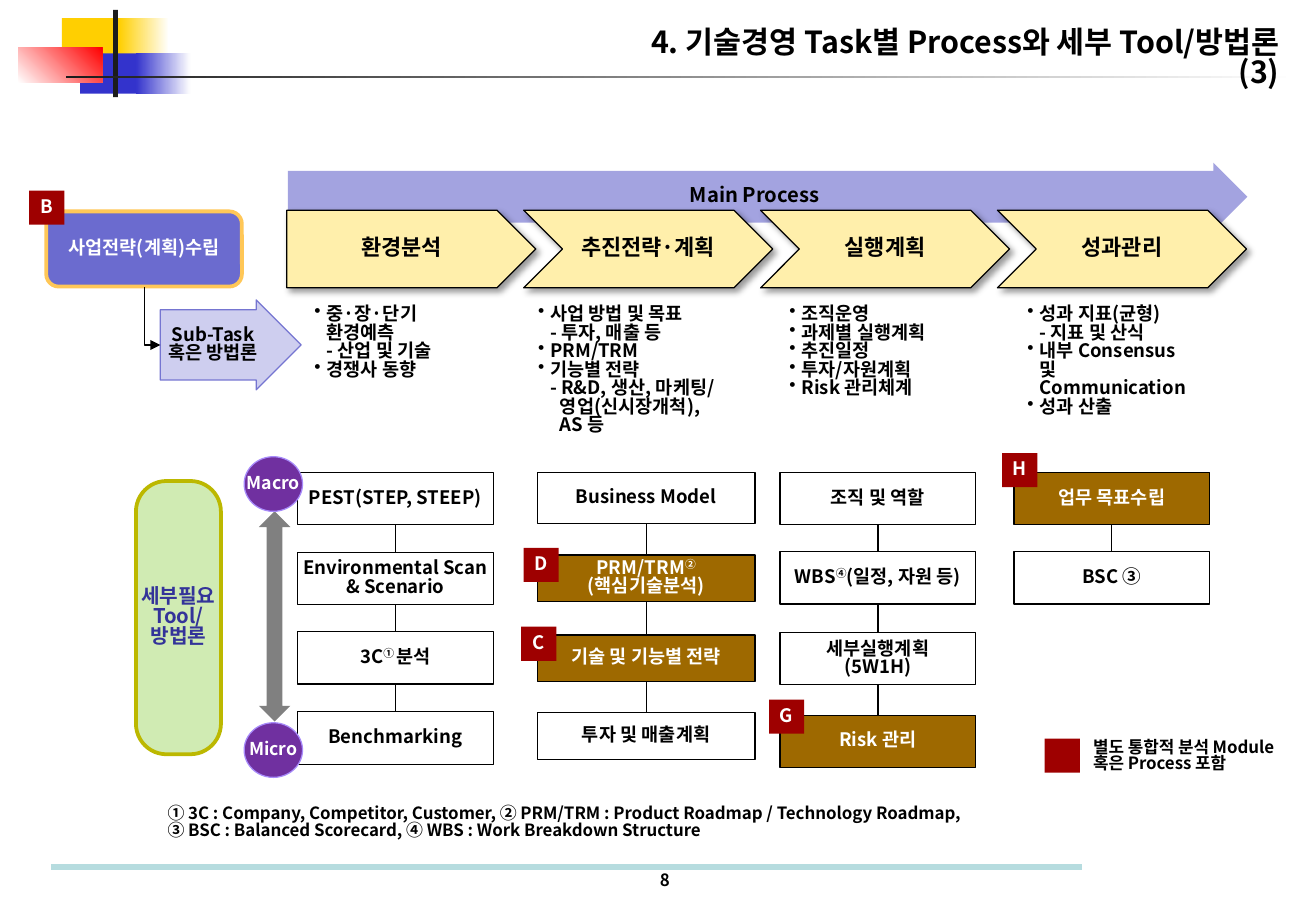
"""Builds the slide on technology management processes and their tools."""
import pptx
import pptx.util
import pptx.dml.color
import pptx.enum.shapes
import pptx.enum.text
from lxml import etree
from pptx.oxml.ns import qn

Pt = pptx.util.Pt
MSO = pptx.enum.shapes.MSO_SHAPE
LINK = pptx.enum.shapes.MSO_CONNECTOR
ALIGN = pptx.enum.text.PP_ALIGN
ANCHOR = pptx.enum.text.MSO_ANCHOR
FONT = "Noto Sans CJK KR"
HUES = {
    "black": "000000", "white": "FFFFFF", "ink": "1C1C1C", "gold": "FFCF01",
    "blue": "3333CC", "red": "FF0000", "teal": "B6DCDF", "lilac": "A3A3E0",
    "cream": "FFEFAB", "indigo": "6B6BCF", "amber": "FFC757", "pale": "CECEEF",
    "violet": "7575D1", "gray": "808080", "purple": "7030A0", "mauve": "A78AFA",
    "mint": "D0EBB3", "olive": "BCB800", "navy": "333399", "brown": "9E6900",
    "wine": "9E0000",
}

TITLE = "4. 기술경영 Task별 Process와 세부 Tool/방법론\v(3)"
NOTES = [
    "① 3C : Company, Competitor, Customer, ② PRM/TRM : Product Roadmap / Technology Roadmap,",
    "③ BSC : Balanced Scorecard, ④ WBS : Work Breakdown Structure",
]
LEGEND = "별도 통합적 분석 Module\v혹은 Process 포함"
DECOR = [
    (36.7, 10.8, 38.9, 23.8, "gold", None, 0),
    (70.6, 10.8, 29.5, 23.8, "gold", "white", 0),
    (47.5, 31.7, 37.4, 23.8, "blue", None, 0),
    (80.6, 31.7, 32.4, 23.8, "blue", "white", 0),
    (10.8, 28.1, 49.7, 20.9, "white", "red", 45),
    (67, 5.8, 2.9, 51.8, "ink", None, 0),
    (38.9, 44.9, 730, 1.2, "ink", "white", 0),
]
STEPS = ["환경분석", "추진전략·계획", "실행계획", "성과관리"]
LISTS = [
    (179.3, ["•중·장·단기\v환경예측\v- 산업 및 기술", "•경쟁사 동향"]),
    (311.8, ["•사업 방법 및 목표\v- 투자, 매출 등", "•PRM/TRM",
             "•기능별 전략\v- R&D, 생산, 마케팅/", ">영업(신시장개척),", ">AS 등"]),
    (460.8, ["•조직운영", "•과제별 실행계획", "•추진일정", "•투자/자원계획",
             "•Risk 관리체계"]),
    (601.9, ["•성과 지표(균형)\v- 지표 및 산식",
             "•내부 Consensus\v및\vCommunication", "•성과 산출"]),
]
TOOLS = [
    (176.4, 116, [
        (280, 31, "white", ["PEST(STEP, STEEP)"]),
        (327.5, 31, "white", ["Environmental Scan", "& Scenario"]),
        (374.5, 31, "white", ["3C^① ^분석"]),
        (422, 31, "white", ["Benchmarking"])]),
    (318.5, 129, [
        (280, 30.5, "white", ["Business Model"]),
        (329, 27.5, "brown", ["PRM/TRM^②", "(핵심기술분석)"]),
        (376.5, 27.5, "brown", ["기술 및 기능별 전략"]),
        (422.6, 27.5, "white", ["투자 및 매출계획"])]),
    (462.4, 116, [
        (280, 31, "white", ["조직 및 역할"]),
        (327, 31, "white", ["WBS^④^(일정, 자원 등)"]),
        (375, 31, "white", ["세부실행계획", "(5W1H)"]),
        (424, 31, "brown", ["Risk 관리"])]),
    (601, 116, [
        (280, 31, "brown", ["업무 목표수립"]),
        (327, 31, "white", ["BSC ③"])]),
]
BADGES = [
    (17.3, 113, "B"), (310.3, 324.7, "D"), (308.9, 371.5, "C"),
    (594, 268.6, "H"), (455.8, 414.7, "G"), (619.2, 437.8, ""),
]

deck = pptx.Presentation()
deck.slide_width, deck.slide_height = Pt(780), Pt(540)
slide = deck.slides.add_slide(deck.slide_layouts[6])


def rgb(hue):
    return pptx.dml.color.RGBColor.from_string(HUES[hue])


def write(frame, lines, size, hue, align):
    for i, line in enumerate(lines):
        para = frame.paragraphs[0] if i == 0 else frame.add_paragraph()
        props = para._p.get_or_add_pPr()
        if line[0] in "•>":
            dot = line[0] == "•"
            props.set("marL", str(Pt(7.2 if dot else 13)))
            props.set("indent", str(Pt(-7.2 if dot else 0)))
            if dot:
                etree.SubElement(props, qn("a:buChar"), char="•")
            line = line[1:]
        parts = line.split("^")
        para.text = parts[0]
        for k, part in enumerate(parts[1:]):
            run = para.add_run()
            run.text = part
            if k % 2 == 0:
                run._r.get_or_add_rPr().set("baseline", "30000")
        para.alignment = align
        para.line_spacing = 0.83
        font = para.font
        font.size, font.bold, font.name = Pt(size), True, FONT
        font.color.rgb = rgb(hue)
        etree.SubElement(font._rPr, qn("a:ea"), typeface=FONT)


def shape(kind, x, y, w, h, fill, line=None, lines=(), size=11, hue="black", thick=0.75):
    item = slide.shapes.add_shape(kind, Pt(x), Pt(y), Pt(w), Pt(h))
    item.shadow.inherit = False
    item.fill.solid()
    item.fill.fore_color.rgb = rgb(fill)
    if line:
        item.line.color.rgb = rgb(line)
        item.line.width = Pt(thick)
    else:
        item.line.fill.background()
    item.text_frame.word_wrap = False
    item.text_frame.vertical_anchor = ANCHOR.MIDDLE
    write(item.text_frame, lines, size, hue, ALIGN.CENTER)
    return item


def label(x, y, w, h, lines, size, align=ALIGN.LEFT):
    box = slide.shapes.add_textbox(Pt(x), Pt(y), Pt(w), Pt(h))
    box.text_frame.word_wrap = True
    write(box.text_frame, lines, size, "black", align)


def link(kind, x1, y1, x2, y2, hue="black", thick=0.75):
    wire = slide.shapes.add_connector(kind, Pt(x1), Pt(y1), Pt(x2), Pt(y2))
    wire.line.color.rgb = rgb(hue)
    wire.line.width = Pt(thick)
    etree.SubElement(wire._element.spPr, qn("a:effectLst"))
    return wire


def shade(item):
    glow = item._element.spPr.find(qn("a:effectLst"))
    drop = etree.SubElement(glow, qn("a:outerShdw"), blurRad=str(Pt(4)),
                            dist=str(Pt(3)), dir="2700000")
    tint = etree.SubElement(drop, qn("a:srgbClr"), val=HUES["black"])
    etree.SubElement(tint, qn("a:alpha"), val="40000")


for x, y, w, h, hue, fade, turn in DECOR:
    patch = shape(MSO.RECTANGLE, x, y, w, h, hue)
    if fade:
        patch.fill.gradient()
        patch.fill.gradient_angle = turn
        for stop, tone, place in zip(patch.fill.gradient_stops, (hue, fade), (0, 1)):
            stop.color.rgb = rgb(tone)
            stop.position = place
link(LINK.STRAIGHT, 30.2, 514.1, 641.5, 514.1, "teal", 3.5)
label(329, 13.7, 436.4, 48, [TITLE], 18, ALIGN.RIGHT)
label(380, 514.1, 28, 19.4, ["8"], 10, ALIGN.CENTER)

main = shape(MSO.RIGHT_ARROW, 170.6, 96.5, 568.8, 40.3, "lilac", None, ["Main Process"], 12)
main.adjustments[0] = 0.76
for i, step in enumerate(STEPS):
    kind = MSO.CHEVRON if i else MSO.PENTAGON
    shade(shape(kind, 170 + 140.4 * i, 124.6, 147.6, 46, "cream", "black", [step], 13))
for x, lines in LISTS:
    label(x, 177.8, 140, 100, lines, 11)

shape(MSO.ROUNDED_RECTANGLE, 27.4, 125.3, 116, 44.6, "indigo", "amber",
      ["사업전략(계획)수립"], 11, "white", 2.25)
task = shape(MSO.RIGHT_ARROW, 95, 177.8, 83.5, 53.3, "pale", "violet",
             ["Sub-Task", "혹은 방법론"])
task.adjustments[0] = 0.78
elbow = link(LINK.ELBOW, 73, 182.5, 107.5, 192)
form = elbow._element.spPr
form.find(qn("a:prstGeom")).set("prst", "bentConnector2")
form.find(qn("a:xfrm")).set("rot", "16200000")
form.find(qn("a:xfrm")).set("flipH", "1")
etree.SubElement(form.find(qn("a:ln")), qn("a:tailEnd"), type="triangle")

for x, w, boxes in TOOLS:
    mid = x + w / 2
    for top, high, fill, lines in boxes:
        shape(MSO.RECTANGLE, x, top, w, high, fill, "black", lines, 11,
              "black" if fill == "white" else "white")
    for upper, lower in zip(boxes, boxes[1:]):
        link(LINK.STRAIGHT, mid, upper[0] + upper[1], mid, lower[0])

shape(MSO.UP_DOWN_ARROW, 153.4, 303.1, 18.7, 124.6, "gray")
for y, word in ((270.7, "Macro"), (428.4, "Micro")):
    shape(MSO.OVAL, 144.7, y, 34.6, 32.4, "purple", "mauve", [word], 10.5, "white")
need = shape(MSO.ROUNDED_RECTANGLE, 80.6, 285.1, 50.4, 162, "mint", "olive",
             ["세부필요", "Tool/", "방법론"], 12, "navy", 2.25)
need.adjustments[0] = 0.36

for x, y, mark in BADGES:
    shape(MSO.RECTANGLE, x, y, 20.9, 20.2, "wine", None, [mark] if mark else [], 11, "white")
label(92.2, 474.5, 497.5, 31.7, NOTES, 10)
label(640.8, 434.9, 136.1, 31.7, [LEGEND], 10)

deck.save("out.pptx")
